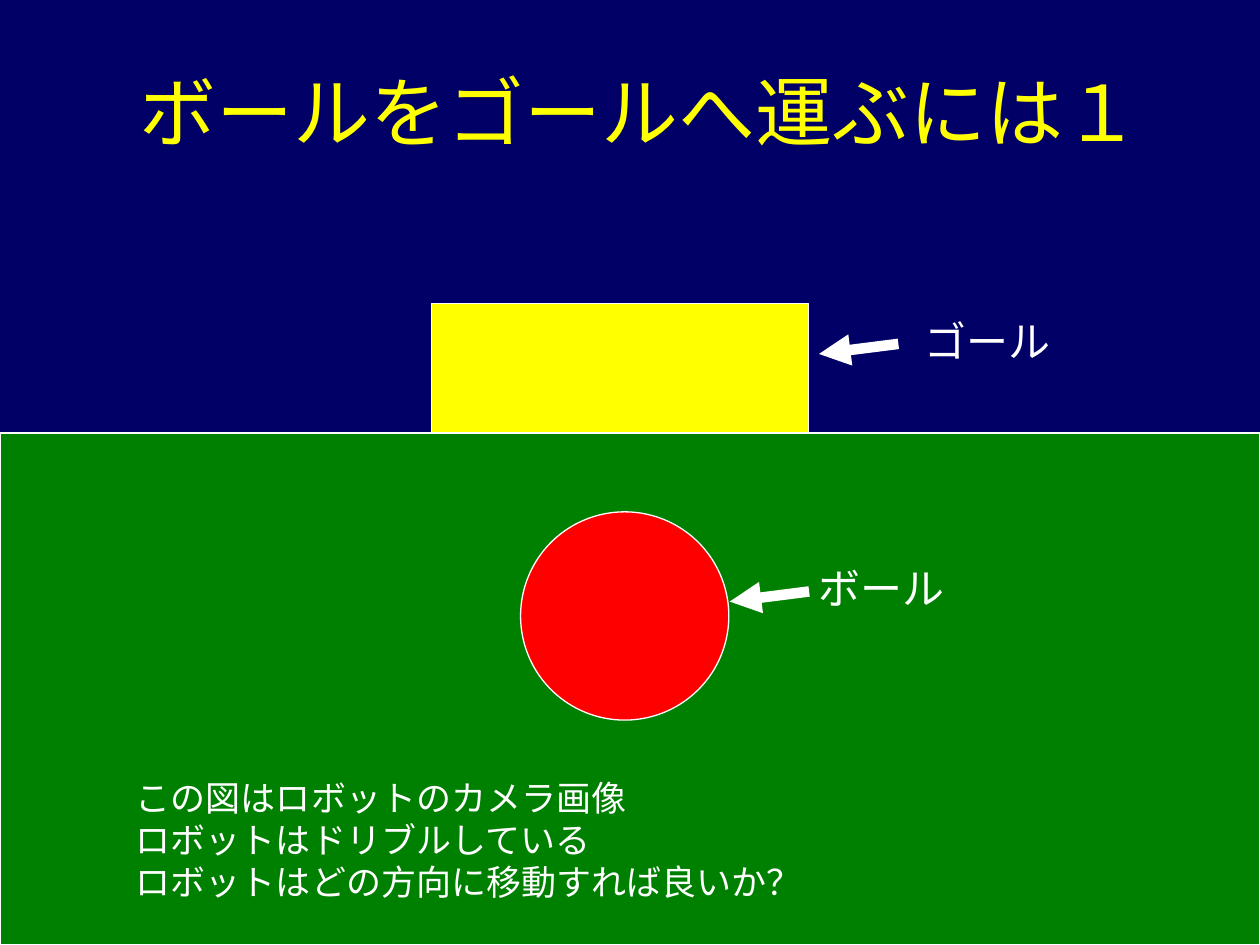
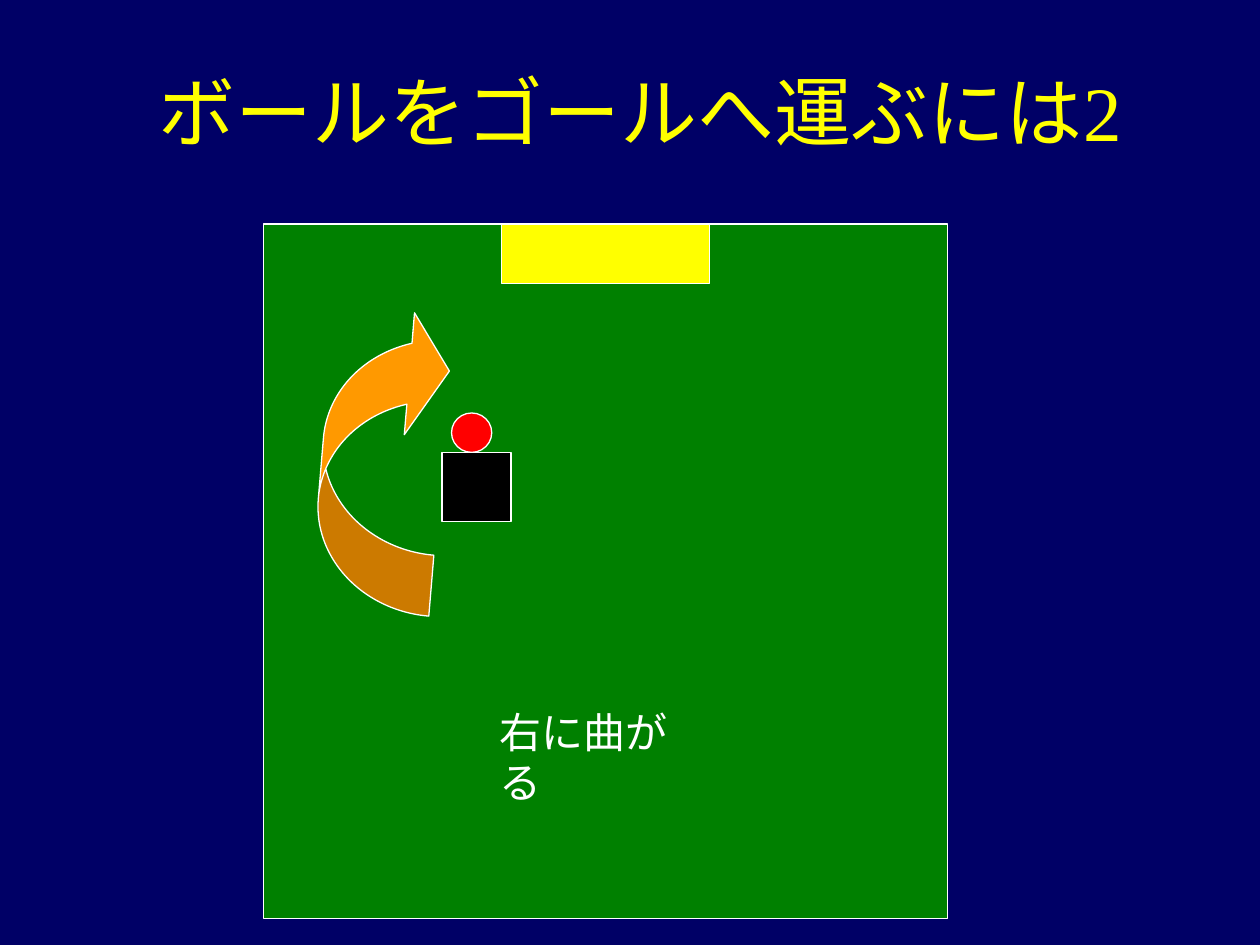
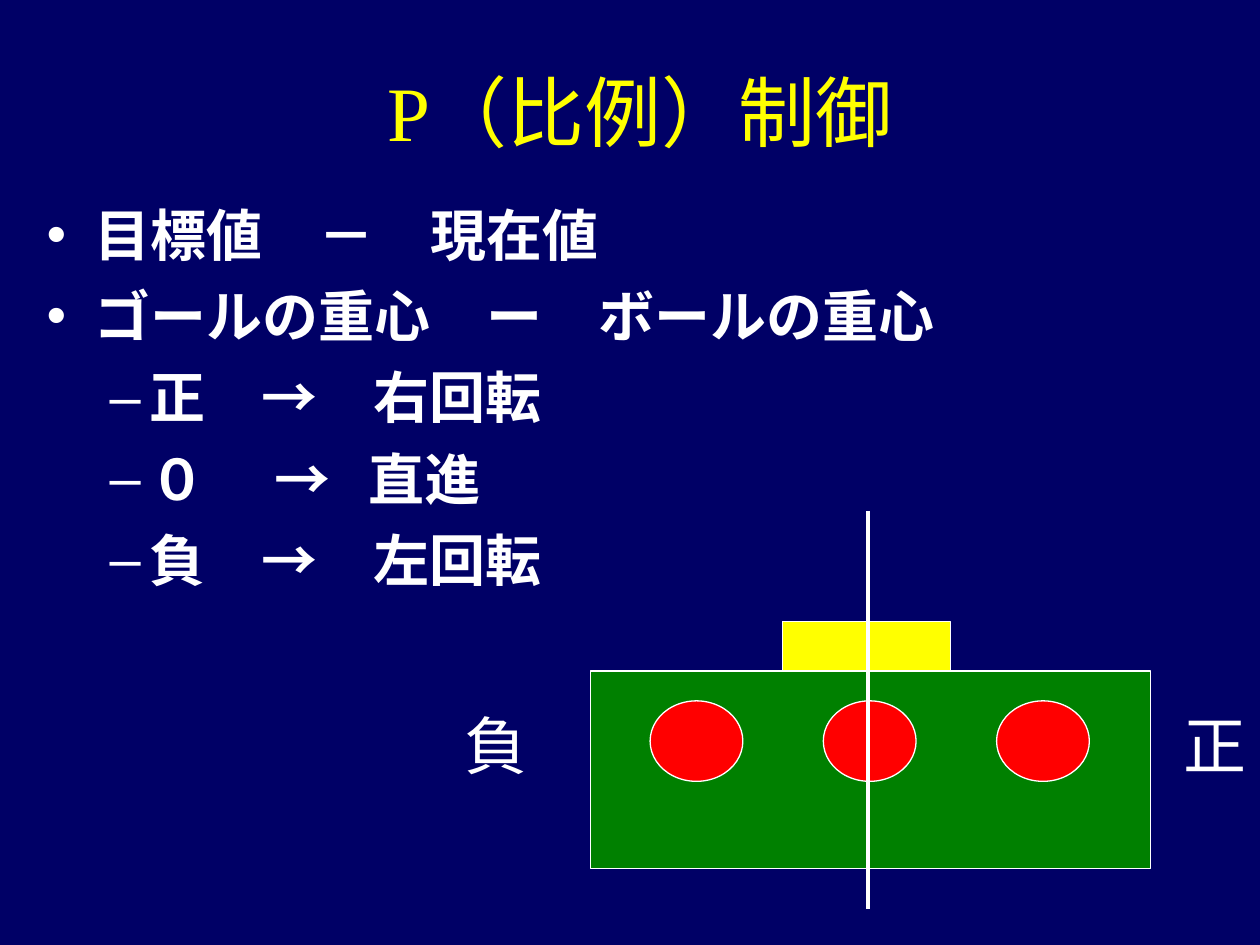
from lxml import etree
from pptx import Presentation
from pptx import util as u
from pptx.dml.color import RGBColor
from pptx.enum import shapes, text
from pptx.oxml import ns

NAVY = RGBColor(0x00, 0x00, 0x66)
WHITE = RGBColor(0xFF, 0xFF, 0xFF)
BLACK = RGBColor(0x00, 0x00, 0x00)
YELLOW = RGBColor(0xFF, 0xFF, 0x00)
GREEN = RGBColor(0x00, 0x80, 0x00)
RED = RGBColor(0xFF, 0x00, 0x00)
ORANGE = RGBColor(0xFF, 0x99, 0x00)
FONT = "Times New Roman"
RECT = shapes.MSO_SHAPE.RECTANGLE
OVAL = shapes.MSO_SHAPE.OVAL
CURVE = shapes.MSO_SHAPE.CURVED_DOWN_ARROW


def style(para, size, color, bold=False):
    """Format every run of a paragraph."""
    for run in para.runs:
        font = run.font
        font.name, font.size, font.bold = FONT, u.Pt(size), bold
        font.color.rgb = color


def place(item, box):
    """Move an item to a box of left, top, width and height."""
    item.left, item.top, item.width, item.height = map(u.Pt, box)


def shift(box, left, top, width, height):
    """Return a box measured from the corner of another box."""
    return box[0] + left, box[1] + top, width, height


def draw(slide, kind, box, fill):
    """Add a filled shape with a thin white outline."""
    shape = slide.shapes.add_shape(kind, *map(u.Pt, box))
    shape.shadow.inherit = False
    shape.fill.solid()
    shape.fill.fore_color.rgb = fill
    shape.line.color.rgb = WHITE
    shape.line.width = u.Pt(0.75)
    return shape


def label(slide, box, words, size, wrap=False):
    """Add white text in a box."""
    frame = slide.shapes.add_textbox(*map(u.Pt, box)).text_frame
    frame.word_wrap = wrap
    frame.text = words
    for para in frame.paragraphs:
        style(para, size, WHITE)


def rule(slide, start, end, width, arrow=False):
    """Add a white line, with an arrowhead at its end on request."""
    line = slide.shapes.add_connector(
        shapes.MSO_CONNECTOR.STRAIGHT, *map(u.Pt, (*start, *end)))
    line.line.color.rgb = WHITE
    line.line.width = u.Pt(width)
    if arrow:
        etree.SubElement(line.line._get_or_add_ln(), ns.qn("a:tailEnd"), type="triangle")
    etree.SubElement(line._element.spPr, ns.qn("a:effectLst"))


def start(deck, layout, words):
    """Add a slide with its yellow title."""
    slide = deck.slides.add_slide(deck.slide_layouts[layout])
    title = slide.shapes.title
    place(title, (60, 18, 612, 90))
    frame = title.text_frame
    frame.text = words
    frame.vertical_anchor = text.MSO_ANCHOR.MIDDLE
    frame.auto_size = text.MSO_AUTO_SIZE.NONE
    frame.paragraphs[0].alignment = text.PP_ALIGN.CENTER
    style(frame.paragraphs[0], 44, YELLOW)
    return slide


def pointer(slide, box, words, gap):
    """Add a thick arrow to the left, with its label a gap away."""
    left, top = box[:2]
    rule(slide, (left + 45.36, top), (left, top + 5.76), 6, arrow=True)
    label(slide, shift(box, 45.36 + gap, -20, 86.4, 36), words, 24)


def camera(slide, box):
    """Draw the goal, field and ball as the robot sees them."""
    draw(slide, RECT, shift(box, 246.5, 173.5, 215.5, 74), YELLOW)
    draw(slide, RECT, shift(box, 0, 247.5, box[2], box[3] - 247.5), GREEN)
    draw(slide, OVAL, shift(box, 297.5, 292.5, 119, 119), RED)
    label(slide, shift(box, 70.5, 440, 505, 79),
          "この図はロボットのカメラ画像\n"
          "ロボットはドリブルしている\vロボットはどの方向に移動すれば良いか？",
          20, wrap=True)
    pointer(slide, shift(box, 468, 196.5, 0, 0), "ゴール", 8)
    pointer(slide, shift(box, 417, 338, 0, 0), "ボール", -1.5)


def pitch(slide, box):
    """Draw the field from above with the turning robot."""
    draw(slide, RECT, box, GREEN)
    draw(slide, RECT, shift(box, 136, 0, 119, 34), YELLOW)
    draw(slide, OVAL, shift(box, 107.5, 108, 23, 22.5), RED)
    draw(slide, RECT, shift(box, 102, 130.5, 39.5, 39.5), BLACK)
    turn = draw(slide, CURVE, shift(box, -20, 99.5, 175.5, 68.5), ORANGE)
    turn.rotation = 274.8
    for spot, share in enumerate((0.51, 1.02, 0.33)):
        turn.adjustments[spot] = share
    label(slide, shift(box, 128, 272, 134, 36), "右に曲がる", 24)


def points(slide, box, items):
    """Fill the body placeholder with bold bullets by level."""
    body = slide.placeholders[1]
    place(body, box)
    frame = body.text_frame
    frame.auto_size = text.MSO_AUTO_SIZE.NONE
    frame.text = "\n".join(words for level, words in items)
    for spot, (para, (level, words)) in enumerate(zip(frame.paragraphs, items)):
        para.level = level
        para.space_before = u.Pt(8 if spot else 0)
        if "\t" in words:
            tabs = etree.SubElement(para._p.get_or_add_pPr(), ns.qn("a:tabLst"))
            for stop in (130, 184):
                etree.SubElement(tabs, ns.qn("a:tab"), pos=str(u.Pt(stop)), algn="l")
        style(para, 32, WHITE, bold=True)


def gauge(slide, box):
    """Draw three ball places on a field with signs at both sides."""
    draw(slide, RECT, shift(box, 109.5, -28.5, 96, 28.5), YELLOW)
    draw(slide, RECT, box, GREEN)
    for step in range(3):
        draw(slide, OVAL, shift(box, 34 + 99 * step, 17, 53, 46), RED)
    mid, top = box[0] + 158.5, box[1]
    rule(slide, (mid, top - 91.5), (mid, top + 136), 2.25)
    for left, sign in ((-79, "負"), (332, "正")):
        label(slide, shift(box, left, 16.5, 50.5, 50.5), sign, 36)


def main():
    """Build the three slides and save them."""
    deck = Presentation()
    deck.slide_width, deck.slide_height = u.Pt(720), u.Pt(540)
    back = deck.slide_master.background.fill
    back.solid()
    back.fore_color.rgb = NAVY

    camera(start(deck, 5, "ボールをゴールへ運ぶには１"), (0, 0, 720, 540))
    pitch(start(deck, 5, "ボールをゴールへ運ぶには2"), (150.5, 128, 391, 397))
    slide = start(deck, 1, "P（比例）制御")
    points(slide, (19.5, 111, 612, 372), (
        (0, "目標値　－　現在値"),
        (0, "ゴールの重心　ー　ボールの重心"),
        (1, "正　→　右回転"),
        (1, "０\t→\t直進"),
        (1, "負　→　左回転")))
    gauge(slide, (337.5, 383.5, 320, 113))
    deck.save("out.pptx")


if __name__ == "__main__":
    main()
